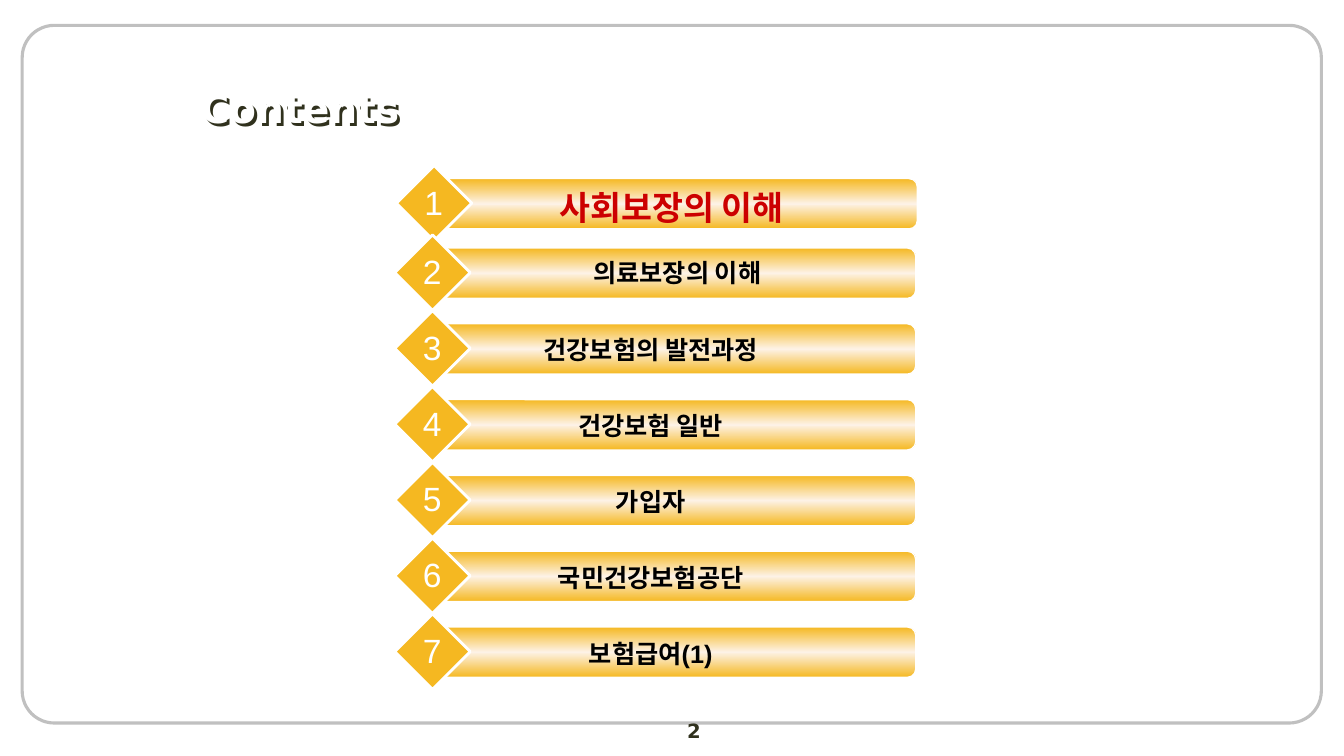
import copy
import pptx
import pptx.util
import pptx.dml.color
import pptx.enum.shapes
import pptx.enum.text
import pptx.oxml
import pptx.oxml.ns

Cm, Pt = pptx.util.Cm, pptx.util.Pt
RGB = pptx.dml.color.RGBColor
KIND = pptx.enum.shapes.MSO_SHAPE
ALIGN = pptx.enum.text.PP_ALIGN
ANCHOR = pptx.enum.text.MSO_ANCHOR
qn = pptx.oxml.ns.qn

GOLD = RGB(0xF5, 0xB8, 0x21)
CREAM = RGB(0xFD, 0xF2, 0xE6)
WHITE = RGB(0xFF, 0xFF, 0xFF)
BLACK = RGB(0, 0, 0)
RED = RGB(0xCC, 0, 0)
GRAY = RGB(0xC0, 0xC0, 0xC0)
OLIVE = RGB(0x30, 0x31, 0x1D)
HANGUL = "Noto Sans CJK KR"

TITLE = "Contents"
PAGE = "2"
PLAIN = dict(size=18, color=BLACK, font="Arial", bold=True)
MAIN = dict(size=24, color=RED, font=HANGUL, bold=True)
# text, format, label offset from the bar (cm)
ITEMS = [
    ("사회보장의 이해", MAIN, (1.12, 0.08)),
    ("의료보장의 이해", PLAIN, (1.3, 0.1)),
    ("건강보험의 발전과정", PLAIN, (0.63, 0.15)),
    ("건강보험 일반", PLAIN, (0.63, 0.15)),
    ("가입자", PLAIN, (0.63, 0.15)),
    ("국민건강보험공단", PLAIN, (0.63, 0.15)),
    ("보험급여(1)", PLAIN, (0.63, 0.15)),
]
FIRST = (11.05, 4.5)
LEFT, TOP, PITCH = 11.01, 6.25, 1.91
BAR = (12.07, 1.27)

SHADOW = (
    '<a:effectLst xmlns:a="http://schemas.openxmlformats.org/drawingml/2006/main">'
    '<a:outerShdw dist="35921" dir="2700000" algn="ctr" rotWithShape="0">'
    f'<a:srgbClr val="{OLIVE}"/></a:outerShdw></a:effectLst>'
)


def write(frame, text, size, color, font, bold=False, align=ALIGN.CENTER, wrap=True):
    frame.word_wrap = wrap
    par = frame.paragraphs[0]
    par.alignment = align
    run = par.add_run()
    run.text = text
    run.font.size = Pt(size)
    run.font.bold = bold
    run.font.color.rgb = color
    run.font.name = font
    east = pptx.oxml.parse_xml(
        '<a:ea xmlns:a="http://schemas.openxmlformats.org/drawingml/2006/main" '
        f'typeface="{HANGUL}"/>')
    run.font._element.find(qn("a:latin")).addnext(east)


def label(slide, x, y, w, h, text, **form):
    box = slide.shapes.add_textbox(Cm(x), Cm(y), Cm(w), Cm(h))
    write(box.text_frame, text, **form)


def shape(slide, kind, x, y, w, h, line, width):
    item = slide.shapes.add_shape(kind, Cm(x), Cm(y), Cm(w), Cm(h))
    item.shadow.inherit = False
    item.line.color.rgb = line
    item.line.width = Pt(width)
    return item


def shade(bar):
    """Fill with a vertical gold, cream, gold gradient."""
    bar.fill.gradient()
    bar.fill.gradient_angle = 270
    stops = bar._element.spPr.find(".//" + qn("a:gsLst"))
    stops.insert(1, copy.deepcopy(stops[0]))
    for stop, place, color in zip(bar.fill.gradient_stops, (0, 0.5, 1), (GOLD, CREAM, GOLD)):
        stop.position = place
        stop.color.rgb = color


def row(slide, rank, x, y, text, form, shift):
    bar = shape(slide, KIND.ROUNDED_RECTANGLE, x, y, *BAR, WHITE, 1)
    shade(bar)
    gem = shape(slide, KIND.DIAMOND, x - 1.06, y - 0.33, 1.9, 1.9, WHITE, 2)
    gem.fill.solid()
    gem.fill.fore_color.rgb = GOLD
    label(slide, x + shift[0], y + shift[1], 9.52, 1.02, text, **form)
    label(slide, x - 0.62, y - 0.05, 1, 1.27, str(rank),
          size=24, color=WHITE, font="Arial", wrap=False)


def main():
    deck = pptx.Presentation()
    deck.slide_width, deck.slide_height = Cm(33.87), Cm(19.05)
    slide = deck.slides.add_slide(deck.slide_layouts[5])

    frame = shape(slide, KIND.ROUNDED_RECTANGLE, 0.56, 0.64, 32.74, 17.58, GRAY, 2.25)
    frame.adjustments[0] = 0.046
    frame.fill.background()

    title = slide.shapes.title
    title.left, title.top, title.width, title.height = Cm(4.8), Cm(1.98), Cm(27.1), Cm(1.47)
    title.text_frame.vertical_anchor = ANCHOR.MIDDLE
    write(title.text_frame, TITLE, size=28, color=WHITE, font="DejaVu Sans",
          bold=True, align=ALIGN.LEFT)
    # With no fill, the shadow of the shape falls from its letters.
    title.fill.background()
    title._element.spPr.append(pptx.oxml.parse_xml(SHADOW))

    label(slide, 13.54, 17.98, 7.9, 0.69, PAGE,
          size=14, color=OLIVE, font="DejaVu Sans", bold=True)

    for i, (text, form, shift) in enumerate(ITEMS):
        x, y = (LEFT, TOP + (i - 1) * PITCH) if i else FIRST
        row(slide, i + 1, x, y, text, form, shift)

    deck.save("out.pptx")


if __name__ == "__main__":
    main()
